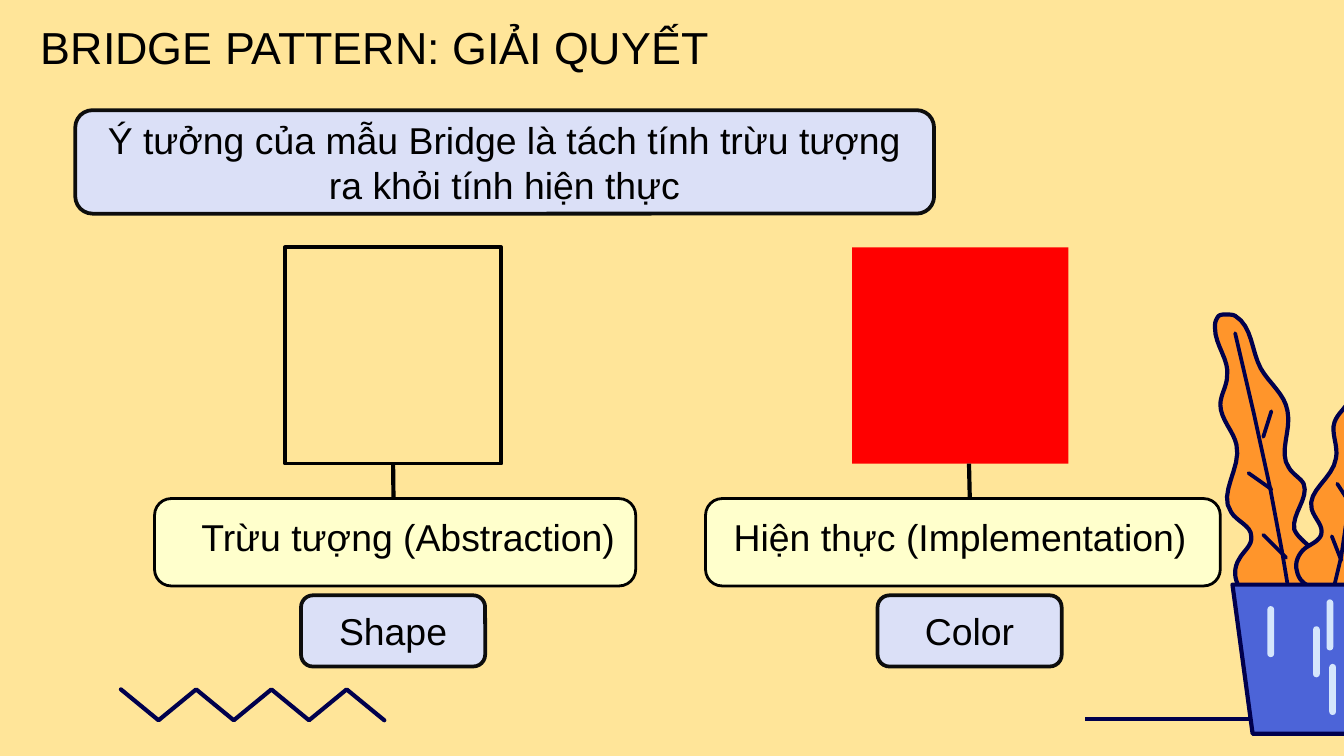
from pptx import Presentation
from pptx.dml.color import RGBColor
from pptx.enum.shapes import MSO_CONNECTOR, MSO_SHAPE
from pptx.enum.text import MSO_ANCHOR, PP_ALIGN
from pptx.oxml.ns import qn
from pptx.util import Inches, Pt
from lxml.etree import SubElement

# Content
TITLE = "BRIDGE PATTERN: GIẢI QUYẾT"
IDEA = "Ý tưởng của mẫu Bridge là tách tính trừu tượng ra khỏi tính hiện thực"
# Each column: square left, fill, outline, stem x, label (left, width),
# text left, label text, tag left, tag text
COLUMNS = [
    (2.12, None, "000000", 2.92, (1.15, 3.58), 1.4, "Trừu tượng (Abstraction)", 2.24, "Shape"),
    (6.34, "FF0000", None, 7.21, (5.25, 3.83), 5.36, "Hiện thực (Implementation)", 6.53, "Color"),
]
SQUARE_TOP, SQUARE_SIZE = 1.84, 1.61
LABEL_TOP, LABEL_HEIGHT = 3.71, 0.65
TAG_TOP, TAG_WIDTH, TAG_HEIGHT = 4.43, 1.37, 0.53

BLACK, INK, NAVY = "000000", "0D0D0D", "00004D"
LAVENDER, CREAM, SAND = "DBE0F7", "FFFFCC", "FFE599"
ORANGE, BLUE, PALE = "FF952B", "4C64D8", "D5E6FC"

# Leaf outlines: a start point, then Bézier segments (two controls and an end)
LEAVES = [
    [(9.12, 2.34), (9.1, 2.34), (9.07, 2.34), (9.06, 2.36), (9.04, 2.39), (9.04, 2.41), (9.04, 2.44),
     (9.04, 2.57), (9.15, 2.68), (9.13, 2.8), (9.13, 2.87), (9.08, 2.94), (9.08, 3.01),
     (9.08, 3.12), (9.18, 3.21), (9.2, 3.31), (9.24, 3.48), (9.06, 3.67), (9.16, 3.81),
     (9.2, 3.88), (9.31, 3.91), (9.31, 3.99), (9.32, 4.06), (9.25, 4.1), (9.22, 4.16),
     (9.18, 4.22), (9.18, 4.3), (9.22, 4.37), (9.26, 4.42), (9.33, 4.46), (9.41, 4.46),
     (9.48, 4.45), (9.56, 4.45), (9.63, 4.44), (9.78, 4.43), (9.88, 4.22), (9.78, 4.11),
     (9.74, 4.05), (9.66, 4.01), (9.63, 3.94), (9.61, 3.82), (9.74, 3.71), (9.7, 3.6),
     (9.68, 3.56), (9.62, 3.53), (9.59, 3.48), (9.51, 3.37), (9.61, 3.2), (9.58, 3.06),
     (9.56, 2.93), (9.44, 2.85), (9.38, 2.74), (9.31, 2.61), (9.32, 2.43), (9.19, 2.35),
     (9.17, 2.34), (9.15, 2.34), (9.12, 2.34)],
    [(10.13, 2.62), (10.12, 2.62), (10.11, 2.62), (10.1, 2.62), (10.08, 2.63), (10.07, 2.65), (10.06, 2.68),
     (10.03, 2.78), (10.08, 2.89), (10.03, 2.99), (10.01, 3.04), (9.95, 3.08), (9.93, 3.14),
     (9.9, 3.22), (9.96, 3.32), (9.94, 3.41), (9.92, 3.56), (9.72, 3.65), (9.76, 3.79),
     (9.78, 3.86), (9.85, 3.91), (9.83, 3.98), (9.81, 4.03), (9.75, 4.05), (9.71, 4.08),
     (9.66, 4.12), (9.63, 4.19), (9.65, 4.25), (9.66, 4.31), (9.71, 4.36), (9.77, 4.37),
     (9.83, 4.39), (9.9, 4.4), (9.96, 4.42), (10.08, 4.45), (10.2, 4.31), (10.17, 4.2),
     (10.15, 4.15), (10.1, 4.09), (10.1, 4.03), (10.11, 3.93), (10.25, 3.88), (10.24, 3.78),
     (10.24, 3.74), (10.21, 3.7), (10.2, 3.66), (10.16, 3.54), (10.29, 3.44), (10.31, 3.32),
     (10.33, 3.21), (10.26, 3.12), (10.25, 3.01), (10.23, 2.89), (10.29, 2.74), (10.21, 2.65),
     (10.19, 2.63), (10.16, 2.62), (10.13, 2.62)],
]
VEINS = [
    [[(9.19, 2.48), (9.33, 3.08), (9.45, 3.63), (9.54, 4.11), (9.58, 4.35)],
     [(9.46, 3.06), (9.4, 3.25)], [(9.29, 3.52), (9.46, 3.64)], [(9.4, 3.98), (9.57, 4.15)]],
    [[(10.17, 2.76), (10.12, 3.24), (10.04, 3.73), (9.98, 4.14), (9.93, 4.35)],
     [(9.95, 3.6), (10.04, 3.74)], [(9.91, 3.99), (9.98, 4.17)]],
]
POT = [(9.17, 4.35), (9.32, 5.46), (10.09, 5.46), (10.19, 4.35)]
GLINTS = [(9.43, 4.51), (9.87, 4.46), (9.77, 4.66), (9.89, 4.94)]
ZIGZAG = [(0.9 + 0.28 * i, 5.36 if i % 2 else 5.13) for i in range(8)]

# A 16:9 slide
presentation = Presentation()
presentation.slide_width = Inches(10)
presentation.slide_height = Inches(10) * 9 // 16
slide = presentation.slides.add_slide(presentation.slide_layouts[6])
shapes = slide.shapes


def color(value):
    return RGBColor.from_string(value)


def paint(shape, fill=None, line=None, width=2):
    shape.shadow.inherit = False
    if fill:
        shape.fill.solid()
        shape.fill.fore_color.rgb = color(fill)
    else:
        shape.fill.background()
    if line:
        shape.line.color.rgb = color(line)
        shape.line.width = Pt(width)
    else:
        shape.line.fill.background()


def write(shape, text, size=20, align=PP_ALIGN.LEFT):
    frame = shape.text_frame
    frame.word_wrap = True
    frame.text = text
    paragraph = frame.paragraphs[0]
    paragraph.alignment = align
    font = paragraph.runs[0].font
    font.name, font.size, font.color.rgb = "Arial", Pt(size), color(BLACK)
    return paragraph


def add_box(kind, box, fill=None, line=None, width=2, corner=None):
    shape = shapes.add_shape(kind, *map(Inches, box))
    paint(shape, fill, line, width)
    if corner:
        shape.adjustments[0] = corner
    return shape


def add_card(box, text):
    card = add_box(MSO_SHAPE.ROUNDED_RECTANGLE, box, LAVENDER, INK)
    write(card, text, align=PP_ALIGN.CENTER)
    card.text_frame.vertical_anchor = MSO_ANCHOR.MIDDLE


def add_line(start, end, line):
    connector = shapes.add_connector(MSO_CONNECTOR.STRAIGHT, *map(Inches, start + end))
    connector.line.color.rgb = color(line)
    connector.line.width = Pt(2.25)
    SubElement(connector._element.spPr, qn("a:effectLst"))
    return connector


def add_outline(points, fill=None, line=NAVY, width=2.25, close=False):
    corners = [(Inches(x), Inches(y)) for x, y in points]
    builder = shapes.build_freeform(*corners[0])
    builder.add_line_segments(corners[1:], close=close)
    shape = builder.convert_to_shape()
    paint(shape, fill, line, width)
    outline = shape.line._get_or_add_ln()
    outline.set("cap", "rnd")
    SubElement(outline, qn("a:round"))


def flatten(curve, steps=8):
    points = [curve[0]]
    for i in range(0, len(curve) - 1, 3):
        segment = curve[i:i + 4]
        for step in range(1, steps + 1):
            t = step / steps
            weights = ((1 - t) ** 3, 3 * t * (1 - t) ** 2, 3 * t * t * (1 - t), t ** 3)
            points.append(tuple(sum(w * p[axis] for w, p in zip(weights, segment))
                                for axis in (0, 1)))
    return points


# Background, plant and floor decoration
slide.background.fill.solid()
slide.background.fill.fore_color.rgb = color(SAND)
for leaf, veins in zip(LEAVES, VEINS):
    add_outline(flatten(leaf), ORANGE, close=True)
    for vein in veins:
        add_outline(vein, width=2)
add_outline(POT, BLUE, close=True)
for left, top in GLINTS:
    add_box(MSO_SHAPE.ROUNDED_RECTANGLE, (left, top, 0.05, 0.38), PALE, corner=0.5)
add_outline(ZIGZAG)
add_line((9.31, 5.35), (8.07, 5.35), NAVY)

# Title and main idea
title = shapes.add_textbox(*map(Inches, (0, 0.05, 5.46, 0.77)))
title.text_frame.margin_top = title.text_frame.margin_bottom = Inches(0.1)
properties = write(title, TITLE, 24, PP_ALIGN.CENTER)._p.get_or_add_pPr()
properties.set("marL", str(Inches(0.5)))
properties.set("indent", str(Inches(-0.38)))
add_card((0.56, 0.82, 6.39, 0.77), IDEA)

# Two columns: square, stem, label and tag
for left, fill, line, stem, (label_left, label_width), text_left, label, tag_left, tag in COLUMNS:
    square = add_box(MSO_SHAPE.RECTANGLE, (left, SQUARE_TOP, SQUARE_SIZE, SQUARE_SIZE), fill, line)
    connector = add_line((stem, SQUARE_TOP + SQUARE_SIZE), (stem + 0.01, 3.89), BLACK)
    if abs(stem - left - SQUARE_SIZE / 2) < 0.02:
        connector.begin_connect(square, 2)
    add_box(MSO_SHAPE.ROUNDED_RECTANGLE, (label_left, LABEL_TOP, label_width, LABEL_HEIGHT),
            CREAM, BLACK, 1.5, 0.19)
    text_width = label_left + label_width - text_left
    write(shapes.add_textbox(*map(Inches, (text_left, 3.78, text_width, 0.44))), label)
    add_card((tag_left, TAG_TOP, TAG_WIDTH, TAG_HEIGHT), tag)

presentation.save("out.pptx")
